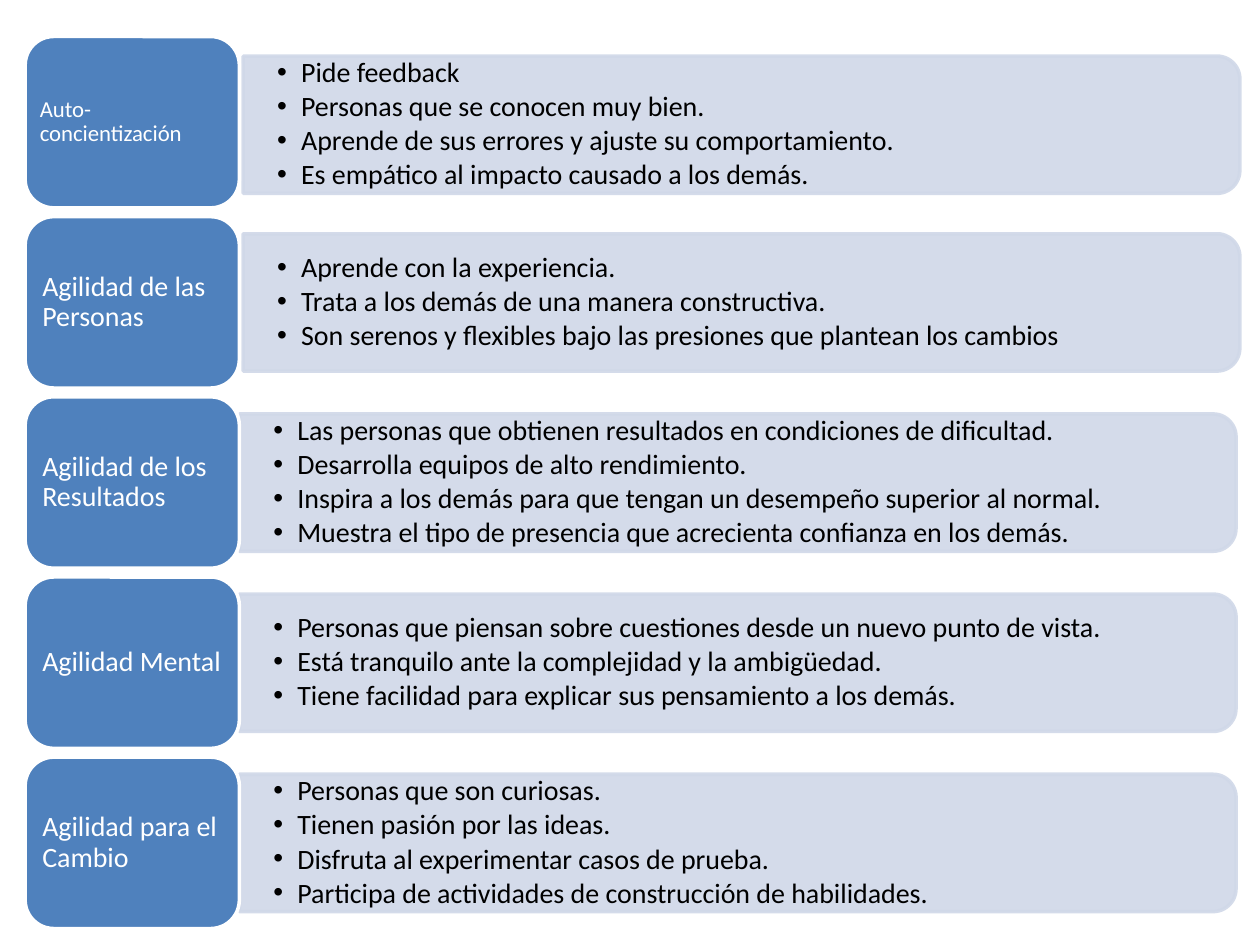
from dataclasses import dataclass

from lxml import etree
from pptx import Presentation
from pptx.dml.color import RGBColor
from pptx.enum.shapes import MSO_SHAPE
from pptx.enum.text import MSO_ANCHOR, PP_ALIGN
from pptx.oxml.ns import qn
from pptx.util import Inches, Pt

ROUNDED = MSO_SHAPE.ROUNDED_RECTANGLE
TWO_ROUNDED = MSO_SHAPE.ROUND_2_SAME_RECTANGLE
MIDDLE = MSO_ANCHOR.MIDDLE
LEFT = PP_ALIGN.LEFT

BLANK_LAYOUT = 6
FIRST_TOP = 0.29
ROW_PITCH = 1.43
LABEL_LEFT, LABEL_WIDTH, LABEL_HEIGHT = 0.2, 1.7, 1.36
PANEL_WIDTH, PANEL_HEIGHT = 7.91, 1.09
LIST_WIDTH, LIST_HEIGHT = 7.85, 0.98


@dataclass(frozen=True)
class Theme:
    font: str = "Calibri"
    label_fill: str = "4F81BD"
    label_text: str = "FFFFFF"
    label_line: str = "FFFFFF"
    panel: str = "D0D8E8"
    panel_opacity: int = 90
    list_text: str = "000000"
    text_size: int = 16
    small_size: int = 13
    line_width: int = 2


THEME = Theme()

ROWS = [
    ("Auto-concientización", THEME.small_size, 0.05, 1.93, 0.02, [
        "Pide feedback",
        "Personas que se conocen muy bien.",
        "Aprende de sus errores y ajuste su comportamiento.",
        "Es empático al impacto causado a los demás.",
    ]),
    ("Agilidad de las Personas", THEME.text_size, 0.07, 1.93, 0, [
        "Aprende con la experiencia.",
        "Trata a los demás de una manera constructiva.",
        "Son serenos y flexibles bajo las presiones que plantean los cambios",
    ]),
    ("Agilidad de los Resultados", THEME.text_size, 0.07, 1.9, 0, [
        "Las personas que obtienen resultados en condiciones de dificultad.",
        "Desarrolla equipos de alto rendimiento.",
        "Inspira a los demás para que tengan un desempeño superior al normal.",
        "Muestra el tipo de presencia que acrecienta confianza en los demás.",
    ]),
    ("Agilidad Mental", THEME.text_size, 0.07, 1.9, 0, [
        "Personas que piensan sobre cuestiones desde un nuevo punto de vista.",
        "Está tranquilo ante la complejidad y la ambigüedad.",
        "Tiene facilidad para explicar sus pensamiento a los demás.",
    ]),
    ("Agilidad para el Cambio", THEME.text_size, 0.07, 1.9, 0, [
        "Personas que son curiosas.",
        "Tienen pasión por las ideas.",
        "Disfruta al experimentar casos de prueba.",
        "Participa de actividades de construcción de habilidades.",
    ]),
]


def set_attributes(target, values):
    for name, value in values.items():
        setattr(target, name, value)


class SlideBuilder:
    def __init__(self, slide, theme):
        self.slide = slide
        self.theme = theme

    def add_shape(self, kind, box, fill, line):
        shape = self.slide.shapes.add_shape(kind, *map(Inches, box))
        shape.shadow.inherit = False
        shape.fill.solid()
        shape.fill.fore_color.rgb = RGBColor.from_string(fill)
        shape.line.color.rgb = RGBColor.from_string(line)
        shape.line.width = Pt(self.theme.line_width)
        return shape

    def format_frame(self, frame, side, end):
        set_attributes(frame, {
            "word_wrap": True,
            "vertical_anchor": MIDDLE,
            "margin_left": Inches(side),
            "margin_right": Inches(side),
            "margin_top": Inches(end),
            "margin_bottom": Inches(end),
        })

    def write_paragraph(self, paragraph, text, size, color, space_after):
        set_attributes(paragraph, {
            "text": text,
            "alignment": LEFT,
            "line_spacing": 0.9,
            "space_after": Pt(space_after),
        })
        font = paragraph.runs[0].font
        set_attributes(font, {"name": self.theme.font, "size": Pt(size)})
        font.color.rgb = RGBColor.from_string(color)

    def add_label(self, top, text, size, side_margin):
        box = (LABEL_LEFT, top, LABEL_WIDTH, LABEL_HEIGHT)
        shape = self.add_shape(ROUNDED, box, self.theme.label_fill, self.theme.label_line)
        self.format_frame(shape.text_frame, side_margin, 0.03)
        paragraph = shape.text_frame.paragraphs[0]
        self.write_paragraph(paragraph, text, size, self.theme.label_text, 0.35 * size)

    def add_panel(self, left, middle):
        box = (left + (PANEL_WIDTH - PANEL_HEIGHT) / 2, middle - PANEL_WIDTH / 2,
               PANEL_HEIGHT, PANEL_WIDTH)
        shape = self.add_shape(TWO_ROUNDED, box, self.theme.panel, self.theme.panel)
        shape.rotation = 90
        for color in shape._element.spPr.iter(qn("a:srgbClr")):
            opacity = etree.SubElement(color, qn("a:alpha"))
            opacity.set("val", str(self.theme.panel_opacity * 1000))

    def add_list(self, left, middle, items):
        box = (left, middle - LIST_HEIGHT / 2, LIST_WIDTH, LIST_HEIGHT)
        frame = self.slide.shapes.add_textbox(*map(Inches, box)).text_frame
        self.format_frame(frame, 0.27, 0.14)
        for index, item in enumerate(items):
            paragraph = frame.add_paragraph() if index else frame.paragraphs[0]
            self.write_paragraph(paragraph, item, self.theme.text_size,
                                 self.theme.list_text, 2.2)
            paragraph.level = 1
            self.add_bullet(paragraph)

    def add_bullet(self, paragraph):
        properties = paragraph._p.get_or_add_pPr()
        properties.set("marL", str(Inches(0.19)))
        properties.set("indent", str(Inches(-0.19)))
        etree.SubElement(properties, qn("a:buFont")).set("typeface", "Arial")
        etree.SubElement(properties, qn("a:buChar")).set("char", "•")


def main():
    presentation = Presentation()
    presentation.slide_width = Inches(10)
    presentation.slide_height = Inches(7.5)
    slide = presentation.slides.add_slide(presentation.slide_layouts[BLANK_LAYOUT])
    builder = SlideBuilder(slide, THEME)
    for index, (label, size, margin, left, shift, items) in enumerate(ROWS):
        top = FIRST_TOP + index * ROW_PITCH
        middle = top + LABEL_HEIGHT / 2 + shift
        builder.add_panel(left, middle)
        builder.add_list(left, middle, items)
        builder.add_label(top, label, size, margin)
    presentation.save("out.pptx")


if __name__ == "__main__":
    main()
